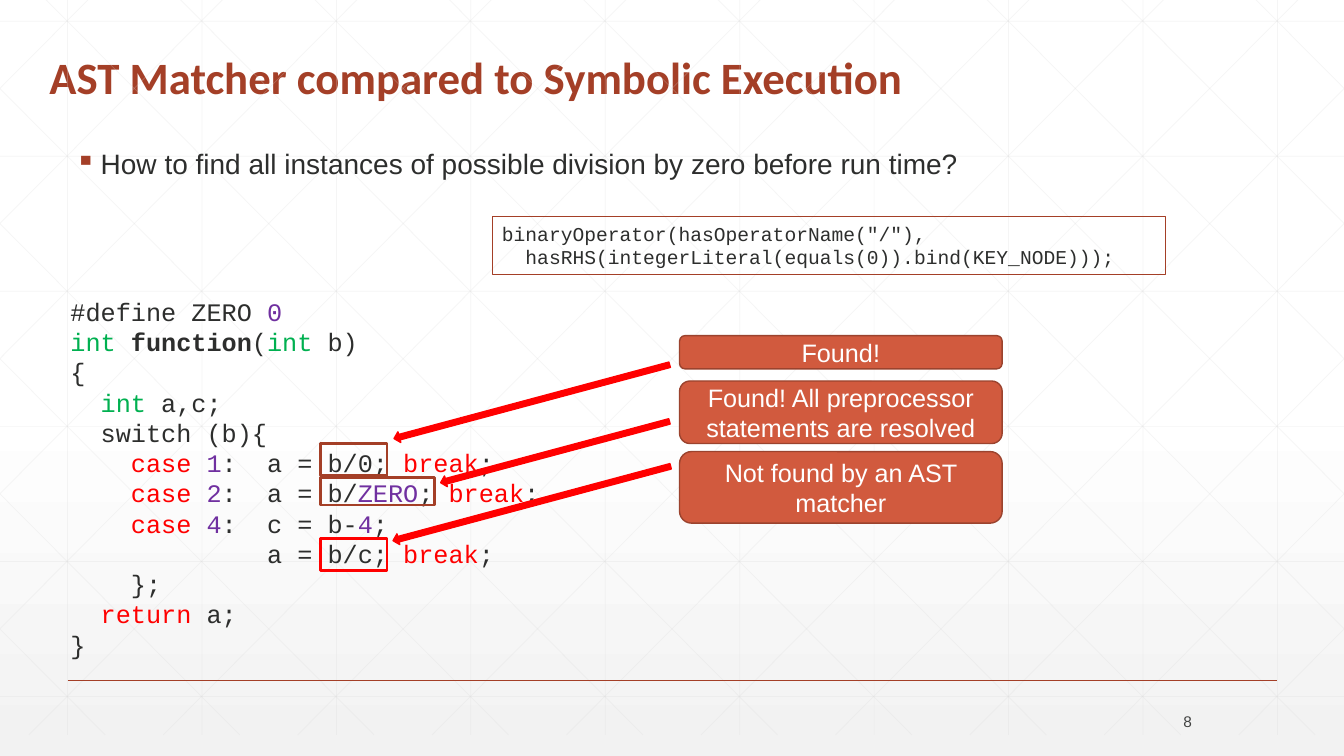
from lxml import etree
from pptx import Presentation
from pptx.dml.color import RGBColor
from pptx.enum.shapes import MSO_CONNECTOR, MSO_SHAPE
from pptx.enum.text import MSO_ANCHOR, MSO_AUTO_SIZE, PP_ALIGN
from pptx.oxml.ns import qn
from pptx.util import Inches, Pt

STRAIGHT = MSO_CONNECTOR.STRAIGHT
RECTANGLE, ROUNDED, LEFT_ARROW = MSO_SHAPE.RECTANGLE, MSO_SHAPE.ROUNDED_RECTANGLE, MSO_SHAPE.LEFT_ARROW
TOP, MIDDLE, BOTTOM = MSO_ANCHOR.TOP, MSO_ANCHOR.MIDDLE, MSO_ANCHOR.BOTTOM
LEFT, CENTER, RIGHT = PP_ALIGN.LEFT, PP_ALIGN.CENTER, PP_ALIGN.RIGHT
NO_AUTOFIT = MSO_AUTO_SIZE.NONE

WIDTH, HEIGHT = 13.33, 7.5
GRID_TOP, GRID_BOTTOM, GRID_STEP = -0.21, 7.29, 4 / 3
DIAGONAL_RUN = 7.46

COLORS = {
    "white": "FFFFFF", "shade": "F2F2F2", "grid": "D9D9D9", "rust": "A43F27",
    "text": "2D2E2D", "number": "424342", "literal": "7030A0", "type": "00B050",
    "red": "FF0000", "callout": "D15A3E", "callout_edge": "9B432E",
}
FORMATS = {
    "title": {"name": "Calibri", "size": Pt(32), "bold": True},
    "body": {"name": "Arial", "size": Pt(20)},
    "code": {"name": "Courier New", "size": Pt(18)},
    "matcher": {"name": "Courier New", "size": Pt(14)},
    "callout": {"name": "Arial", "size": Pt(18)},
    "number": {"name": "Arial", "size": Pt(11)},
}
BREAK = [("break", "red"), (";", "text")]
CODE = [
    [("#define ZERO ", "text"), ("0", "literal")],
    [("int ", "type"), ("function", "text", True), ("(", "text"), ("int", "type"), (" b)", "text")],
    [("{", "text")],
    [("  int ", "type"), ("a,c;", "text")],
    [("  switch (b){", "text")],
    [("    case ", "red"), ("1", "literal"), (":  a = b/0; ", "text"), *BREAK],
    [("    case ", "red"), ("2", "literal"), (":  a = b/", "text"), ("ZERO", "literal"), ("; ", "text"), *BREAK],
    [("    case ", "red"), ("4", "literal"), (":  c = b-", "text"), ("4", "literal"), (";", "text")],
    [("             a = b/c; ", "text"), *BREAK],
    [("    };", "text")],
    [("  return", "red"), (" a;", "text")],
    [("}", "text")],
]
MATCHER = [
    [('binaryOperator(hasOperatorName("/"),', "text")],
    [("  hasRHS(integerLiteral(equals(0)).bind(KEY_NODE)));", "text")],
]
FRAMES = [(4.4, 0.66, 0.32, "rust"), (4.74, 1.13, 0.27, "rust"), (5.34, 0.66, 0.32, "red")]
ARROWS = [(3.86, 3.93, 2.83), (4.33, 4.43, 2.35), (3.85, 4.94, 2.85)]
CALLOUTS = [
    (3.33, 0.33, "Found!"),
    (3.78, 0.62, "Found! All preprocessor statements are resolved"),
    (4.48, 0.71, "Not found by an AST matcher"),
]


def color(name):
    """Return the named colour."""
    return RGBColor.from_string(COLORS[name])


class SlideBuilder:
    """Draw styled elements on the current slide."""

    def __init__(self, slide):
        """Keep the slide and its text formats."""
        self.slide = slide
        self.formats = FORMATS

    def background(self):
        """Fade the background from white to light grey."""
        fill = self.slide.background.fill
        fill.gradient()
        fill.gradient_angle = 270
        for stop, position, name in zip(fill.gradient_stops, (0.53, 1), ("white", "shade")):
            stop.position = position
            stop.color.rgb = color(name)

    def line(self, start, end, name, weight, opacity=None):
        """Draw a straight line, optionally translucent."""
        connector = self.slide.shapes.add_connector(STRAIGHT, *map(Inches, (*start, *end)))
        connector.line.color.rgb = color(name)
        connector.line.width = Pt(weight)
        properties = connector._element.spPr
        etree.SubElement(properties, qn("a:effectLst"))
        if opacity:
            rgb = next(properties.iter(qn("a:srgbClr")))
            etree.SubElement(rgb, qn("a:alpha"), val=str(opacity * 1000))

    def fill_text(self, shape, lines, style, anchor=TOP, alignment=LEFT, spacing=1.0):
        """Fill a shape with lines of coloured runs."""
        frame = shape.text_frame
        frame_format = {"word_wrap": True, "auto_size": NO_AUTOFIT, "vertical_anchor": anchor}
        for key, value in frame_format.items():
            setattr(frame, key, value)
        for index, pieces in enumerate(lines):
            paragraph = frame.add_paragraph() if index else frame.paragraphs[0]
            paragraph.alignment = alignment
            paragraph.line_spacing = spacing
            for text, name, *bold in pieces:
                run = paragraph.add_run()
                run.text = text
                for key, value in self.formats[style].items():
                    setattr(run.font, key, value)
                if bold:
                    run.font.bold = True
                run.font.color.rgb = color(name)

    def title(self, box, text):
        """Place and format the title placeholder."""
        shape = self.slide.shapes.title
        for key, value in zip(("left", "top", "width", "height"), box):
            setattr(shape, key, Inches(value))
        self.fill_text(shape, [[(text, "rust")]], "title", BOTTOM, spacing=0.9)

    def text(self, box, lines, style, **layout):
        """Add a text box."""
        shape = self.slide.shapes.add_textbox(*map(Inches, box))
        self.fill_text(shape, lines, style, **layout)
        return shape

    def bullet(self, box, text):
        """Add a bulleted statement."""
        shape = self.text(box, [[(text, "text")]], "body", spacing=0.9)
        properties = shape.text_frame.paragraphs[0]._p.get_or_add_pPr()
        properties.set("marL", str(Inches(0.25)))
        properties.set("indent", str(Inches(-0.25)))
        bullet_color = etree.SubElement(properties, qn("a:buClr"))
        etree.SubElement(bullet_color, qn("a:srgbClr"), val=COLORS["rust"])
        etree.SubElement(properties, qn("a:buChar"), char="▪")

    def shape(self, kind, box, edge, weight, fill=None, rotation=0):
        """Add a flat preset shape."""
        shape = self.slide.shapes.add_shape(kind, *map(Inches, box))
        shape.shadow.inherit = False
        shape.rotation = rotation
        shape.line.color.rgb = color(edge)
        shape.line.width = Pt(weight)
        if fill:
            shape.fill.solid()
            shape.fill.fore_color.rgb = color(fill)
        else:
            shape.fill.background()
        return shape

    def grid(self):
        """Draw the faint grid and its mirrored diagonals."""
        lines = []
        for column in range(10):
            x = 0.67 + column * GRID_STEP
            lines.append(((x, GRID_TOP), (x, GRID_BOTTOM)))
        for row in range(6):
            y = 0.21 + row * 1.34
            lines.append(((0, y), (WIDTH, y)))
        slope = (GRID_BOTTOM - GRID_TOP) / DIAGONAL_RUN
        for step in range(-5, 10):
            origin = 0.25 + step * GRID_STEP
            ends = [(x, GRID_TOP + (x - origin) * slope)
                    for x in (max(origin, 0), min(origin + DIAGONAL_RUN, WIDTH))]
            lines += [ends, [(WIDTH - x, y) for x, y in ends]]
        for start, end in lines:
            self.line(start, end, "grid", 0.5, opacity=25)


def main():
    """Build and save the slide."""
    presentation = Presentation()
    presentation.slide_width = Inches(WIDTH)
    presentation.slide_height = Inches(HEIGHT)
    builder = SlideBuilder(presentation.slides.add_slide(presentation.slide_layouts[5]))
    builder.background()
    builder.grid()
    builder.line((0.67, 6.75), (12.67, 6.75), "rust", 1)
    builder.text((0.6, 2.89, 5.91, 3.74), CODE, "code")
    builder.title((0.39, 0.28, 10.5, 0.8), "AST Matcher compared to Symbolic Execution")
    for top, width, height, edge in FRAMES:
        builder.shape(RECTANGLE, (3.18, top, width, height), edge, 2)
    matcher = builder.shape(RECTANGLE, (4.88, 2.15, 6.68, 0.57), "rust", 0.75)
    builder.fill_text(matcher, MATCHER, "matcher")
    builder.text((11.21, 6.96, 0.71, 0.4), [[("8", "number")]], "number", anchor=MIDDLE, alignment=RIGHT)
    for left, top, width in ARROWS:
        builder.shape(LEFT_ARROW, (left, top, width, 0.11), "red", 1, "red", rotation=345)
    builder.bullet((0.65, 1.44, 9.48, 0.7),
                   "How to find all instances of possible division by zero before run time?")
    for top, height, text in CALLOUTS:
        callout = builder.shape(ROUNDED, (6.74, top, 3.2, height), "callout_edge", 1, "callout")
        builder.fill_text(callout, [[(text, "white")]], "callout", MIDDLE, CENTER)
    presentation.save("out.pptx")


if __name__ == "__main__":
    main()
